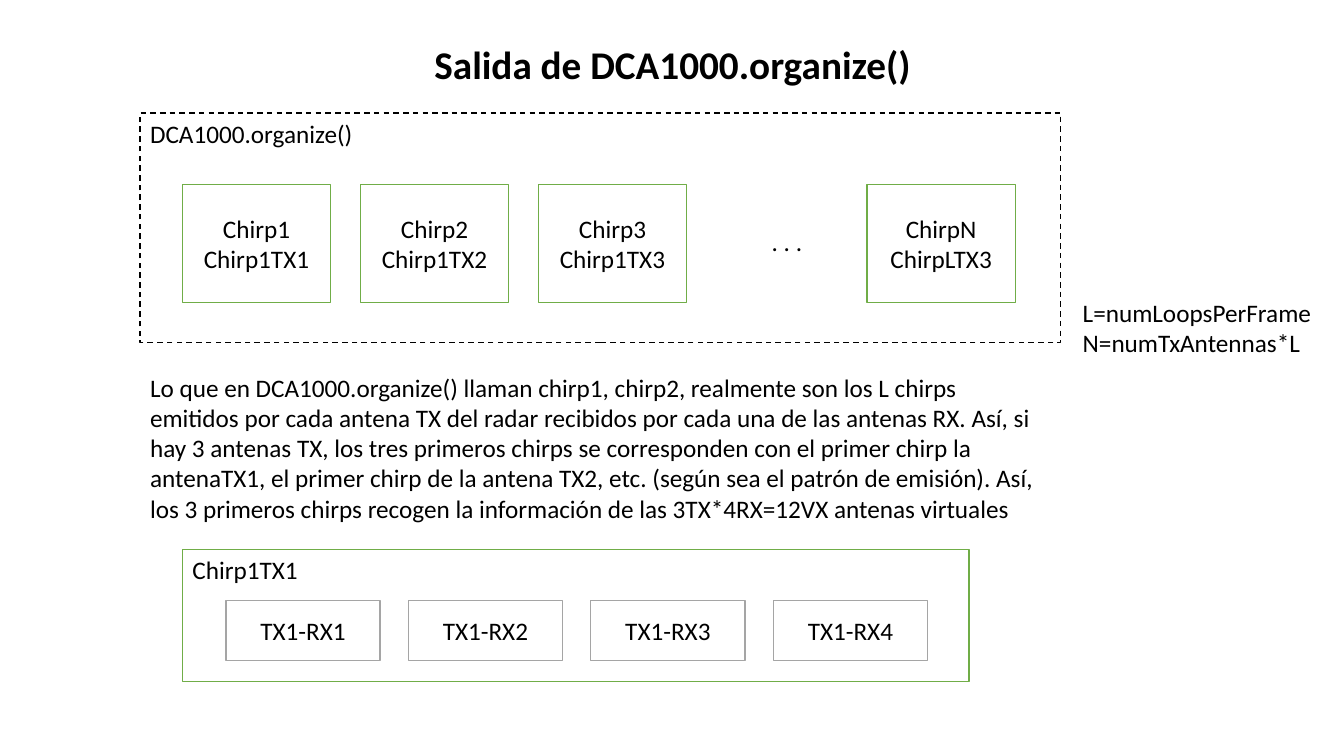
import pptx
import pptx.util
import pptx.dml.color
import pptx.enum.dml
import pptx.enum.shapes
import pptx.enum.text
from pptx.util import Inches

BLACK, WHITE, GREEN, GRAY = "000000", "FFFFFF", "70AD47", "A5A5A5"
ALIGN = pptx.enum.text.PP_ALIGN
ANCHOR = pptx.enum.text.MSO_ANCHOR

EXPLANATION = (
    "Lo que en DCA1000.organize() llaman chirp1, chirp2, realmente son los L "
    "chirps emitidos por cada antena TX del radar recibidos por cada una de las "
    "antenas RX. Así, si hay 3 antenas TX, los tres primeros chirps se "
    "corresponden con el primer chirp la antenaTX1, el primer chirp de la antena "
    "TX2, etc. (según sea el patrón de emisión). Así, los 3 primeros chirps "
    "recogen la información de las 3TX*4RX=12VX antenas virtuales"
)


def color(value):
    return pptx.dml.color.RGBColor.from_string(value)


def write_text(sp, text, size=18, bold=False, align=ALIGN.LEFT, anchor=ANCHOR.TOP):
    """Fill a shape with text, one paragraph per line."""
    tf = sp.text_frame
    tf.word_wrap = True
    tf.vertical_anchor = anchor
    for i, line in enumerate(text.split("\n")):
        p = tf.add_paragraph() if i else tf.paragraphs[0]
        p.alignment = align
        r = p.add_run()
        r.text = line
        r.font.name = "Calibri"
        r.font.size = pptx.util.Pt(size)
        r.font.bold = bold
        r.font.color.rgb = color(BLACK)


def add_label(slide, left, top, width, height, text, **text_format):
    sp = slide.shapes.add_textbox(
        Inches(left), Inches(top), Inches(width), Inches(height))
    write_text(sp, text, **text_format)


def add_box(slide, left, top, width, height, text, line, fill=WHITE, dashed=False,
            **text_format):
    sp = slide.shapes.add_shape(
        pptx.enum.shapes.MSO_SHAPE.RECTANGLE,
        Inches(left), Inches(top), Inches(width), Inches(height))
    sp.shadow.inherit = False
    if fill:
        sp.fill.solid()
        sp.fill.fore_color.rgb = color(fill)
    else:
        sp.fill.background()
    sp.line.color.rgb = color(line)
    sp.line.width = pptx.util.Pt(1)
    if dashed:
        sp.line.dash_style = pptx.enum.dml.MSO_LINE.DASH
    write_text(sp, text, **text_format)


def add_organize_frame(slide):
    add_box(slide, 1.39, 1.12, 9.13, 2.28, "DCA1000.organize()", BLACK,
            fill=None, dashed=True)
    first_left, pitch = 1.81, 1.765
    chirps = [(first_left + i * pitch, f"Chirp{i + 1}\nChirp1TX{i + 1}")
              for i in range(3)]
    chirps.append((8.6, "ChirpN\nChirpLTX3"))
    for left, text in chirps:
        add_box(slide, left, 1.83, 1.47, 1.17, text, GREEN,
                align=ALIGN.CENTER, anchor=ANCHOR.MIDDLE)
    add_label(slide, 7.21, 2.2, 1.19, 0.4, ". . .", align=ALIGN.CENTER)


def add_chirp_detail(slide):
    add_box(slide, 1.81, 5.45, 7.8, 1.31, "Chirp1TX1", GREEN)
    first_left, pitch = 2.24, 1.81
    for i in range(4):
        add_box(slide, first_left + i * pitch, 5.96, 1.53, 0.59, f"TX1-RX{i + 1}",
                GRAY, align=ALIGN.CENTER, anchor=ANCHOR.MIDDLE)


def main():
    prs = pptx.Presentation()
    prs.slide_width, prs.slide_height = Inches(13.33), Inches(7.5)
    slide = prs.slides.add_slide(prs.slide_layouts[6])
    add_label(slide, 10.64, 2.9, 2.59, 1.01,
              "L=numLoopsPerFrame\nN=numTxAntennas*L")
    add_label(slide, 0.47, 0.35, 12.4, 0.57, "Salida de DCA1000.organize()",
              size=28, bold=True, align=ALIGN.CENTER)
    add_organize_frame(slide)
    add_label(slide, 1.39, 3.64, 9.13, 1.62, EXPLANATION)
    add_chirp_detail(slide)
    prs.save("out.pptx")


if __name__ == "__main__":
    main()
